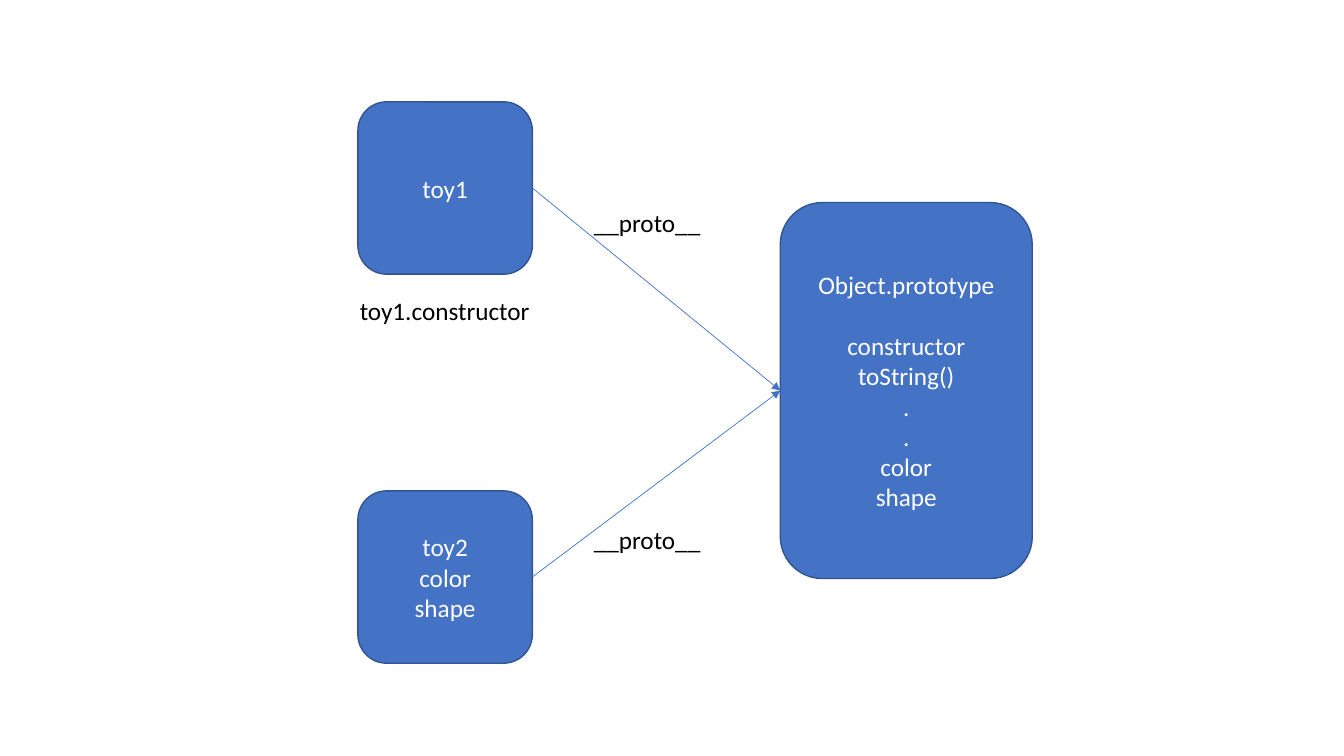
from lxml.etree import SubElement
from pptx import Presentation
from pptx.dml.color import RGBColor
from pptx.enum.shapes import MSO_CONNECTOR, MSO_SHAPE
from pptx.enum.text import MSO_ANCHOR, MSO_AUTO_SIZE, PP_ALIGN
from pptx.oxml.ns import qn
from pptx.util import Inches, Pt

WIDTH, HEIGHT = Inches(13.33), Inches(7.5)
COLORS = {"box": "4472C4", "outline": "325491", "light": "FFFFFF", "dark": "000000"}
LEFT_SITE, RIGHT_SITE = 1, 3
TOY_X, TOY_W, TOY_H = 26.63, 12.98, 22.8
LABEL_H = 5.33


def color(name):
    return RGBColor.from_string(COLORS[name])


def place(x, y, w, h):
    return [int(size * share / 100) for size, share in zip((WIDTH, HEIGHT) * 2, (x, y, w, h))]


def write(tf, lines, ink="dark", align=PP_ALIGN.LEFT, gap_before=None):
    for i, line in enumerate(lines):
        p = tf.paragraphs[0] if i == 0 else tf.add_paragraph()
        p.alignment = align
        if i == gap_before:
            p.space_before = Pt(22)
        r = p.add_run()
        r.text = line
        r.font.name = "Calibri"
        r.font.size = Pt(18)
        r.font.color.rgb = color(ink)


def add_object(s, area, lines, gap_before=None):
    sp = s.shapes.add_shape(MSO_SHAPE.ROUNDED_RECTANGLE, *place(*area))
    sp.shadow.inherit = False
    sp.fill.solid()
    sp.fill.fore_color.rgb = color("box")
    sp.line.color.rgb = color("outline")
    sp.line.width = Pt(1)
    tf = sp.text_frame
    tf.word_wrap = True
    tf.vertical_anchor = MSO_ANCHOR.MIDDLE
    write(tf, lines, ink="light", align=PP_ALIGN.CENTER, gap_before=gap_before)
    return sp


def add_label(s, x, y, w, text):
    tf = s.shapes.add_textbox(*place(x, y, w, LABEL_H)).text_frame
    tf.word_wrap = False
    tf.auto_size = MSO_AUTO_SIZE.SHAPE_TO_FIT_TEXT
    write(tf, [text])


def add_arrow(s, source, target):
    arrow = s.shapes.add_connector(MSO_CONNECTOR.STRAIGHT, 0, 0, 0, 0)
    arrow.begin_connect(source, RIGHT_SITE)
    arrow.end_connect(target, LEFT_SITE)
    arrow.line.color.rgb = color("box")
    arrow.line.width = Pt(0.5)
    SubElement(arrow.line._get_or_add_ln(), qn("a:tailEnd"), type="triangle")
    SubElement(arrow._element.spPr, qn("a:effectLst"))


def main():
    prs = Presentation()
    prs.slide_width, prs.slide_height = WIDTH, HEIGHT
    s = prs.slides.add_slide(prs.slide_layouts[6])

    prototype = add_object(
        s, (58.06, 26.8, 18.75, 49.73),
        ["Object.prototype", "constructor", "toString()", ".", ".", "color", "shape"],
        gap_before=1)
    toys = [
        (13.47, ["toy1"], 26.8),
        (64.93, ["toy2", "color", "shape"], 68.67),
    ]
    for y, lines, label_y in toys:
        toy = add_object(s, (TOY_X, y, TOY_W, TOY_H), lines)
        add_arrow(s, toy, prototype)
        add_label(s, 43.44, label_y, 9.53, "__proto__")
    add_label(s, 26.03, 38.4, 14.25, "toy1.constructor")

    prs.save("out.pptx")


if __name__ == "__main__":
    main()
